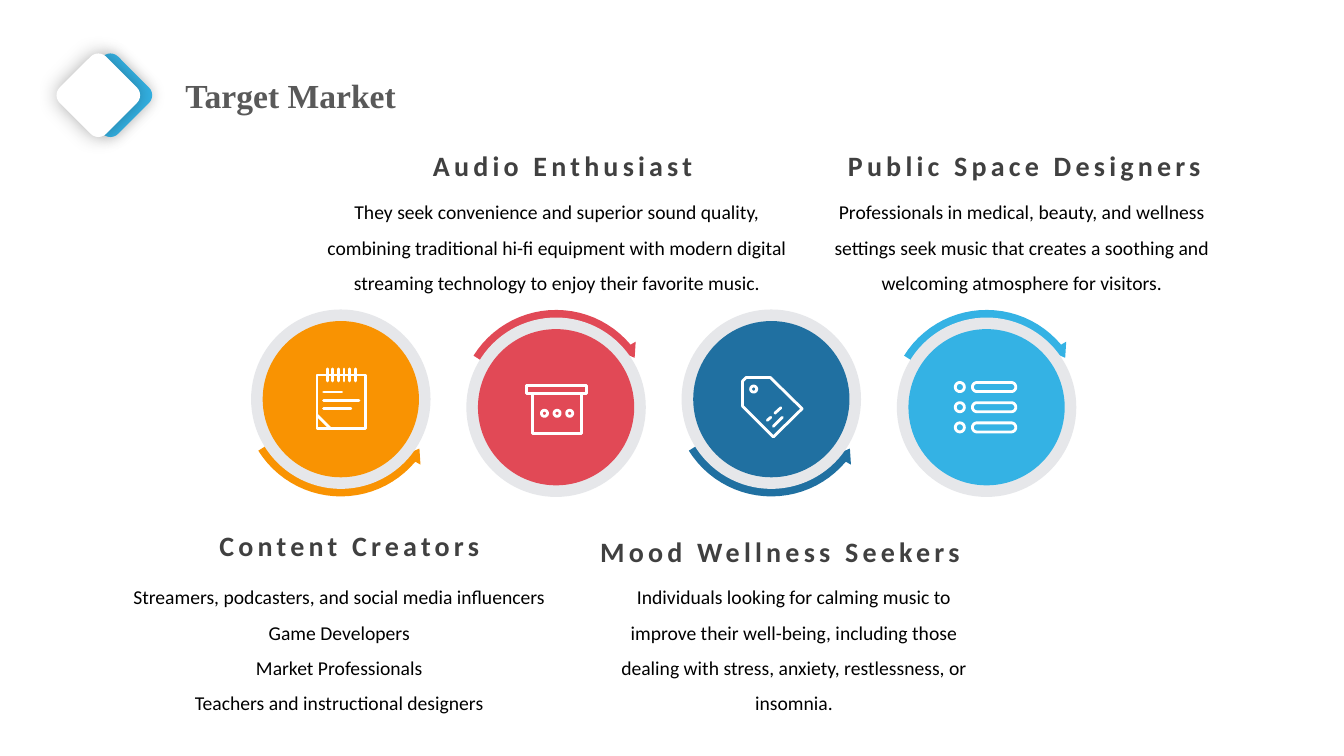
from math import cos, radians, sin

from lxml import etree
from pptx import Presentation
from pptx import util as u
from pptx.dml.color import RGBColor
from pptx.enum import shapes, text
from pptx.oxml.ns import qn

CELL = u.Inches(0.01)  # every length below counts cells of this grid
HUES = {"orange": "F99302", "red": "E14956", "navy": "2070A1", "sky": "34B2E4",
        "ring": "E6E7EA", "white": "FFFFFF", "black": "000000",
        "head": "404040", "title": "595959"}
RGB = {name: RGBColor.from_string(code) for name, code in HUES.items()}

deck = Presentation()
deck.slide_width, deck.slide_height = 1333 * CELL, 750 * CELL
slide = deck.slides.add_slide(deck.slide_layouts[6])
items = slide.shapes


def arc(x, y, r, start, end):
    """Points along a circle, angles in degrees, clockwise from the right."""
    turns = [radians(start + (end - start) * i / 24) for i in range(25)]
    return [(x + r * cos(t), y + r * sin(t)) for t in turns]


def trace(x, y, lines, close=False):
    """One freeform made of point lists placed around (x, y)."""
    pen = None
    for line in lines:
        pts = [((x + dx) * CELL, (y + dy) * CELL) for dx, dy in line]
        if pen is None:
            pen = items.build_freeform(*pts[0])
        else:
            pen.move_to(*pts[0])
        pen.add_line_segments(pts[1:], close=close)
    form = pen.convert_to_shape()
    form.shadow.inherit = False
    return form


# Icons as strokes around the centre of each disc
note = [[(-23.5, -24), (24.5, -24), (24.5, 29.5), (-23.5, 29.5), (-23.5, -24)],
        [(-23.5, 16), (-10, 29.5)],
        [(-17, -7), (1, -7)], [(-17, 1.5), (18, 1.5)], [(-17, 9.5), (10, 9.5)]]
note += [[(-13.5 + 5.6 * i, -30), (-13.5 + 5.6 * i, -18)] for i in range(6)]

box = [[(-29, -21.5), (30, -21.5), (30, -13.5), (-29, -13.5), (-29, -21.5)],
       [(-23, -13.5), (-23, 26), (25, 26), (25, -13.5)]]
box += [arc(1 + 12.5 * i, 6, 3, 0, 360) for i in (-1, 0, 1)]

tag = [[(-28.5, -18), (-25, -21.5), (-1, -21.5), (30.5, 9.5), (2, 37.5),
        (-28.5, 7), (-28.5, -18)],
       arc(-17.5, -10, 3, 0, 360),
       [(2, 27), (11, 18)], [(-4, 21), (-0.5, 18)], [(3.5, 14), (9.5, 8.5)]]

menu = []
for y in (-20, 0, 20):
    pill = arc(-9.5, y, 4.5, 90, 270) + arc(24.5, y, 4.5, -90, 90)
    menu += [arc(-26.5, y, 4.5, 0, 360), pill + pill[:1]]

# Discs in four columns, arrows alternately below and above
FIRST, STEP = 338, 213.5
steps = [("orange", note), ("red", box), ("navy", tag), ("sky", menu)]
swoosh = (arc(0, 0, 96.5, 212, 320) + [(79, -65), (78, -49), (62, -56)]
          + arc(0, 0, 88.5, 319, 212))
for i, (hue, icon) in enumerate(steps):
    x, y, side = FIRST + i * STEP, (396, 404)[i % 2], (-1, 1)[i % 2]
    arrow = trace(x, y, [[(dx, side * dy) for dx, dy in swoosh]], close=True)
    arrow.fill.solid()
    arrow.fill.fore_color.rgb = RGB[hue]
    arrow.line.fill.background()
    for r, tint in ((89, "ring"), (77.5, hue)):
        disc = items.add_shape(shapes.MSO_SHAPE.OVAL, int((x - r) * CELL), int((y - r) * CELL),
                               int(2 * r * CELL), int(2 * r * CELL))
        disc.shadow.inherit = False
        disc.fill.solid()
        disc.fill.fore_color.rgb = RGB[tint]
        disc.line.fill.background()
    mark = trace(x, y, icon)
    mark.fill.background()
    mark.line.color.rgb = RGB["white"]
    mark.line.width = u.Pt(2)
    mark.line._ln.set("cap", "rnd")

# Title emblem: two soft-shadowed diamonds
for x, hue, alpha, blur in ((77, "sky", 20, 10), (65, "white", 30, 15)):
    gem = items.add_shape(shapes.MSO_SHAPE.ROUNDED_RECTANGLE,
                          x * CELL, 62 * CELL, 65 * CELL, 65 * CELL)
    gem.rotation = 45
    gem.fill.solid()
    gem.fill.fore_color.rgb = RGB[hue]
    gem.line.fill.background()
    gem.shadow.inherit = False
    glow = etree.SubElement(gem._element.spPr.find(qn("a:effectLst")), qn("a:outerShdw"),
                            blurRad=str(u.Pt(blur)), dist="0", algn="ctr", rotWithShape="0")
    tone = etree.SubElement(glow, qn("a:srgbClr"), val=HUES["black"])
    etree.SubElement(tone, qn("a:alpha"), val=str(alpha * 1000))

# Text: style is size, font, colour, bold, letter spacing, alignment
MID, LEFT = text.PP_ALIGN.CENTER, text.PP_ALIGN.LEFT
styles = {"title": (24, "Times New Roman", "title", True, 0, LEFT),
          "head": (20, "Calibri", "head", True, 3, MID),
          "body": (14, "Calibri", "black", False, 0, MID)}
labels = [
    ("title", 174, 49, 362, 64, "Target Market"),
    ("head", 195, 503, 303, 55, "Content Creators"),
    ("head", 367, 126, 382, 55, "Audio Enthusiast"),
    ("head", 559, 509, 429, 55, "Mood Wellness Seekers"),
    ("head", 808, 126, 416, 55, "Public Space Designers"),
    ("body", 109, 564, 455, 148,
     "Streamers, podcasters, and social media influencers\nGame Developers\n"
     "Market Professionals\nTeachers and instructional designers"),
    ("body", 312, 182, 481, 112,
     "They seek convenience and superior sound quality, combining traditional hi-fi "
     "equipment with modern digital streaming technology to enjoy their favorite music."),
    ("body", 598, 564, 379, 148,
     "Individuals looking for calming music to improve their well-being, including "
     "those dealing with stress, anxiety, restlessness, or insomnia."),
    ("body", 814, 182, 399, 112,
     "Professionals in medical, beauty, and wellness settings seek music that creates "
     "a soothing and welcoming atmosphere for visitors."),
]
for kind, x, y, w, h, words in labels:
    size, font, hue, bold, gap, align = styles[kind]
    frame = items.add_textbox(x * CELL, y * CELL, w * CELL, h * CELL).text_frame
    frame.word_wrap = True
    frame.text = words
    for para in frame.paragraphs:
        para.alignment = align
        para.line_spacing = 1.5
        for run in para.runs:
            run.font.size, run.font.name, run.font.bold = u.Pt(size), font, bold
            run.font.color.rgb = RGB[hue]
            if gap:
                run.font._element.set("spc", str(gap * 100))

deck.save("out.pptx")
